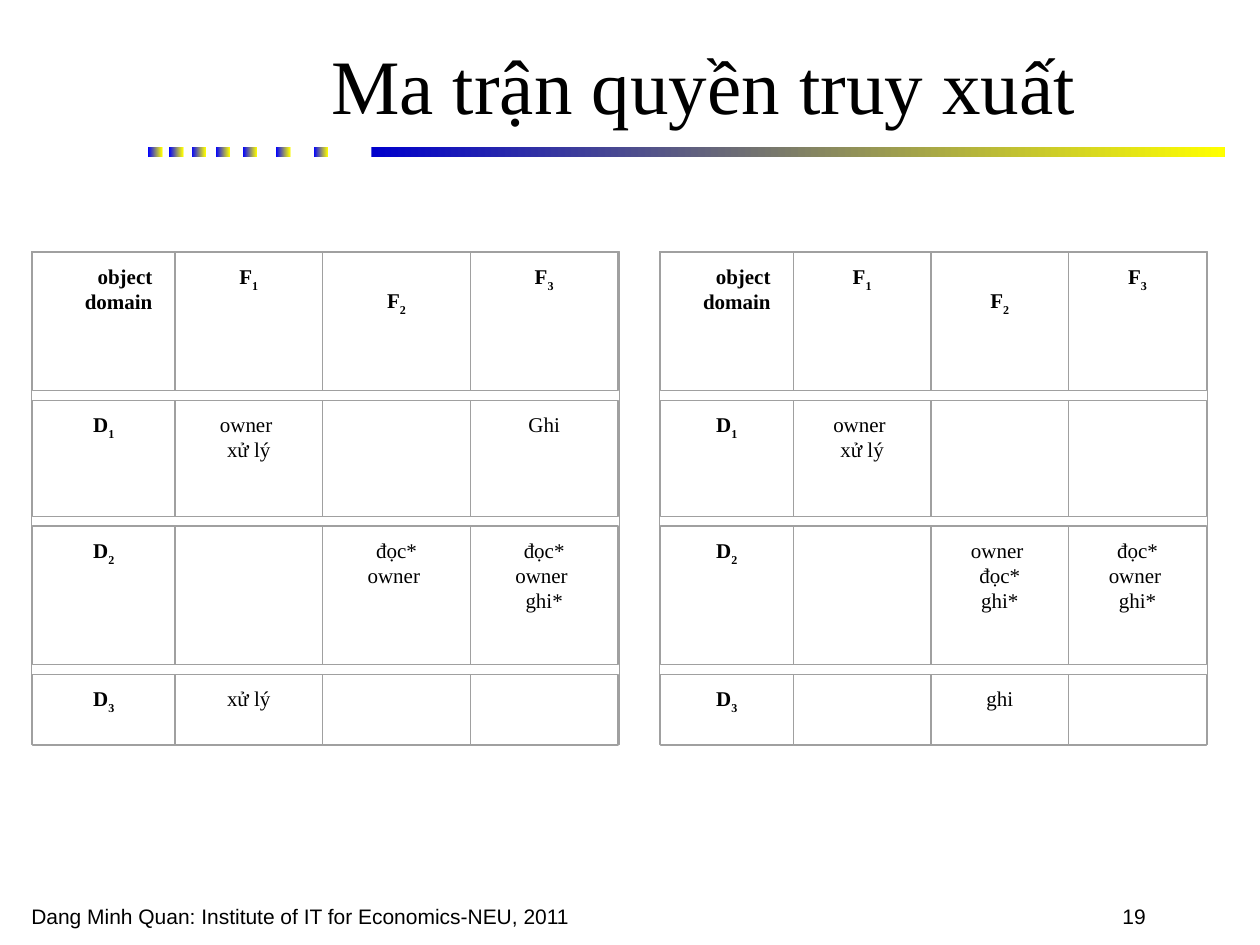
from dataclasses import dataclass
from itertools import accumulate

from pptx import Presentation
from pptx import util as u
from pptx.dml import color
from pptx.enum import shapes, text

SERIF, SANS = "Times New Roman", "Arial"
BLACK, GREY, YELLOW = "000000", "A0A0A0", "FFFF00"
CENTER, LEFT, RIGHT = text.PP_ALIGN.CENTER, text.PP_ALIGN.LEFT, text.PP_ALIGN.RIGHT

MATRIX_TOP, ROW_GAP = 144, 5.6
ROW_HEIGHTS = (79.2, 66.2, 79.2, 40.3)
PAD_X, PAD_Y = 5.8, 2.9
LINE_HEIGHT = 13.8


@dataclass(frozen=True)
class Area:
    left: float
    top: float
    width: float
    height: float

    def lengths(self) -> list:
        return [u.Pt(n) for n in (self.left, self.top, self.width, self.height)]


@dataclass(frozen=True)
class Label:
    """Lines of text; subscript follows the last line, drop lowers the text."""
    lines: tuple
    subscript: str = ""
    size: float = 12
    font: str = SERIF
    bold: bool = False
    align: text.PP_ALIGN = CENTER
    anchor: text.MSO_ANCHOR = text.MSO_ANCHOR.TOP
    wrap: bool = True
    drop: float = 0


@dataclass(frozen=True)
class Matrix:
    left: float
    first_width: float
    other_width: float
    rights: tuple  # one row per domain, one cell per object


def rgb(value: str) -> color.RGBColor:
    return color.RGBColor.from_string(value)


def add_label(parent, area: Area, label: Label) -> None:
    box = parent.shapes.add_textbox(*area.lengths())
    frame = box.text_frame
    frame.word_wrap = label.wrap
    frame.vertical_anchor = label.anchor
    frame.margin_top = u.Pt(3.6 + label.drop)
    frame.text = "\n".join(label.lines)
    if label.subscript:
        span = frame.paragraphs[-1].add_run()
        span.text = label.subscript
        span.font._element.set("baseline", "-30000")
    for para in frame.paragraphs:
        para.alignment = label.align
        for span in para.runs:
            span.font.name = label.font
            span.font.size = u.Pt(label.size)
            span.font.bold = label.bold
            span.font.color.rgb = rgb(BLACK)


def add_outline(parent, area: Area, weight: float) -> None:
    box = parent.shapes.add_shape(shapes.MSO_SHAPE.RECTANGLE, *area.lengths())
    box.shadow.inherit = False
    box.fill.background()
    box.line.color.rgb = rgb(GREY)
    box.line.width = u.Pt(weight)


def add_gradient_bar(page, area: Area, start: str) -> None:
    bar = page.shapes.add_shape(shapes.MSO_SHAPE.RECTANGLE, *area.lengths())
    bar.shadow.inherit = False
    bar.line.fill.background()
    bar.fill.gradient()
    bar.fill.gradient_angle = 0
    for stop, value in zip(bar.fill.gradient_stops, (start, YELLOW)):
        stop.color.rgb = rgb(value)


def matrix_labels(rights: tuple) -> list:
    """Header row, then a domain name and its rights on each row."""
    header = [Label(("object", "domain"), bold=True, align=RIGHT)]
    header += [Label(("F",), str(n), bold=True, drop=LINE_HEIGHT if n == 2 else 0)
               for n in (1, 2, 3)]
    body = [[Label(("D",), str(n), bold=True)] + [Label(cell) for cell in row]
            for n, row in enumerate(rights, 1)]
    return [header] + body


def add_matrix(page, matrix: Matrix) -> None:
    group = page.shapes.add_group_shape()
    widths = (matrix.first_width,) + (matrix.other_width,) * 3
    lefts = list(accumulate(widths, initial=matrix.left))
    tops = list(accumulate((h + ROW_GAP for h in ROW_HEIGHTS), initial=MATRIX_TOP))
    for top, height, row in zip(tops, ROW_HEIGHTS, matrix_labels(matrix.rights)):
        for left, width, label in zip(lefts, widths, row):
            if label.lines:
                inner = Area(left + PAD_X, top + PAD_Y,
                             width - 2 * PAD_X, height - 2 * PAD_Y)
                add_label(group, inner, label)
            add_outline(group, Area(left, top, width, height), 0)
    frame = Area(matrix.left - 0.4, MATRIX_TOP, sum(widths) + 1,
                 tops[-1] - ROW_GAP - MATRIX_TOP)
    add_outline(group, frame, 0.62)


OWNER_RUN = ("owner ", "xử lý")
READ_OWNER_WRITE = ("đọc*", "owner ", "ghi*")
MATRICES = (
    Matrix(18.6, 81.4, 84.4, (
        (OWNER_RUN, (), ("Ghi",)),
        ((), ("đọc*", "owner "), READ_OWNER_WRITE),
        (("xử lý",), (), ()))),
    Matrix(377.4, 75.9, 78.7, (
        (OWNER_RUN, (), ()),
        ((), ("owner ", "đọc*", "ghi*"), READ_OWNER_WRITE),
        ((), ("ghi",), ()))),
)
SQUARE_LEFTS = (84.7, 96.7, 109.6, 123.4, 138.9, 157.8, 179.4)


def main() -> None:
    deck = Presentation()
    deck.slide_width, deck.slide_height = u.Pt(720), u.Pt(540)
    page = deck.slides.add_slide(deck.slide_layouts[6])

    # Rule under the title
    for left in SQUARE_LEFTS:
        add_gradient_bar(page, Area(left, 83.8, 8, 6), "0000FF")
    add_gradient_bar(page, Area(212.3, 84, 487.5, 6), "0000CC")

    # Footer
    add_label(page, Area(634.3, 512.6, 69, 21.6),
              Label(("19",), font=SANS, align=LEFT, wrap=False))
    add_label(page, Area(10.8, 512.6, 331.2, 21.6),
              Label(("Dang Minh Quan: Institute of IT for Economics-NEU, 2011",),
                    font=SANS, align=LEFT))

    # Title
    add_label(page, Area(90, 18, 624, 60),
              Label(("Ma trận quyền truy xuất",), size=44,
                    anchor=text.MSO_ANCHOR.MIDDLE))

    # Access matrices
    for matrix in MATRICES:
        add_matrix(page, matrix)

    deck.save("out.pptx")


if __name__ == "__main__":
    main()
